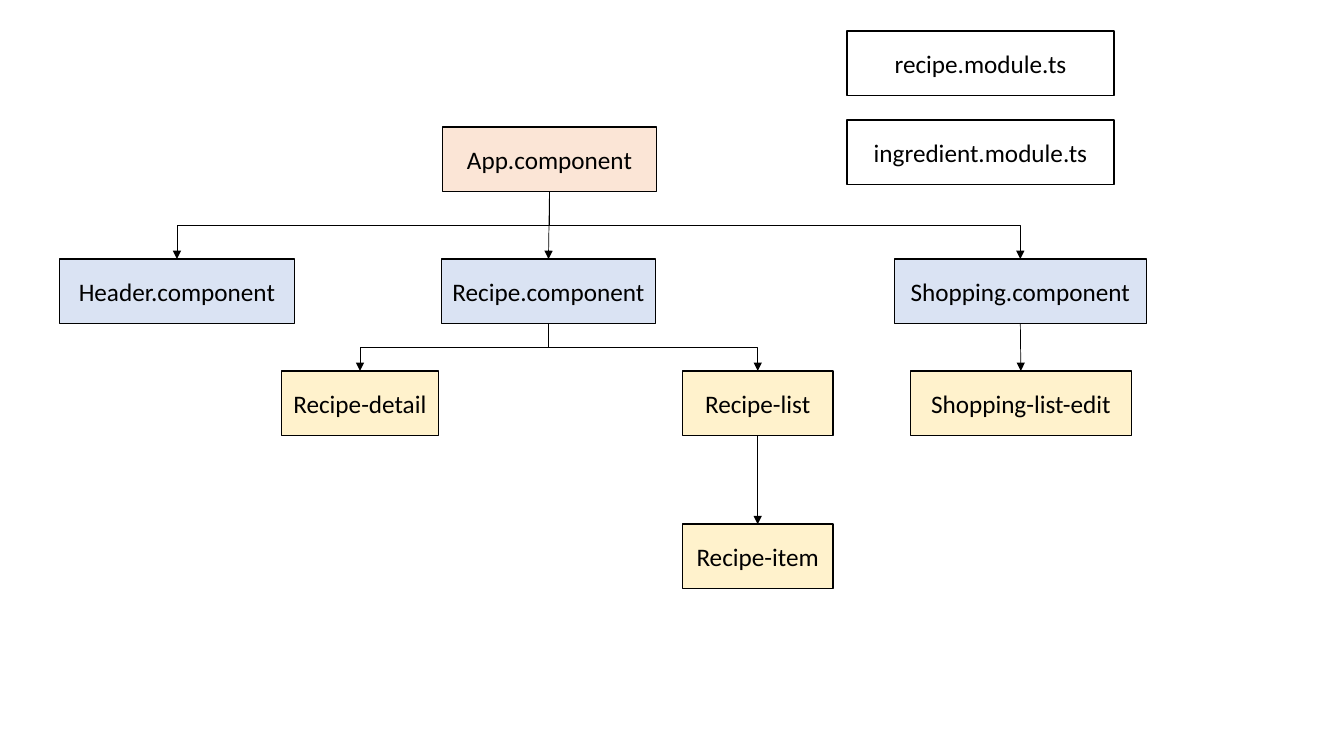
from dataclasses import dataclass

from lxml import etree
from pptx import Presentation
from pptx import util as u
from pptx.dml.color import RGBColor
from pptx.enum import shapes, text
from pptx.oxml import ns


@dataclass(frozen=True)
class Theme:
    font: str = "Calibri"
    text_size: float = 18
    ink: str = "000000"
    root: str = "FBE5D6"
    component: str = "DAE3F3"
    child: str = "FFF2CC"
    box_line: float = 1
    arrow_line: float = 0.5
    box_height: float = 0.64


TOP_SITE, BOTTOM_SITE = 0, 2


def set_attributes(target, values):
    for name, value in values.items():
        setattr(target, name, value)


class Diagram:
    def __init__(self, slide, theme):
        self.slide = slide
        self.theme = theme
        self.ink = RGBColor.from_string(theme.ink)

    def box(self, label, left, top, width, fill=None):
        shape = self.slide.shapes.add_shape(
            shapes.MSO_SHAPE.RECTANGLE, u.Inches(left), u.Inches(top),
            u.Inches(width), u.Inches(self.theme.box_height))
        shape.shadow.inherit = False
        if fill:
            shape.fill.solid()
            shape.fill.fore_color.rgb = RGBColor.from_string(fill)
        else:
            shape.fill.background()
        shape.line.color.rgb = self.ink
        shape.line.width = u.Pt(self.theme.box_line)

        frame = shape.text_frame
        set_attributes(frame, {"text": label, "word_wrap": False,
                               "vertical_anchor": text.MSO_ANCHOR.MIDDLE})
        paragraph = frame.paragraphs[0]
        paragraph.alignment = text.PP_ALIGN.CENTER
        set_attributes(paragraph.font, {"name": self.theme.font,
                                        "size": u.Pt(self.theme.text_size)})
        paragraph.font.color.rgb = self.ink
        return shape

    def arrow(self, parent, child):
        """Join parent's bottom to child's top, with an elbow if they are not aligned."""
        start_x = parent.left + parent.width // 2
        end_x = child.left + child.width // 2
        start_y, end_y = parent.top + parent.height, child.top
        bent = abs(end_x - start_x) > u.Inches(0.1)
        kind = shapes.MSO_CONNECTOR.ELBOW if bent else shapes.MSO_CONNECTOR.STRAIGHT
        connector = self.slide.shapes.add_connector(kind, start_x, start_y, end_x, end_y)
        connector.begin_connect(parent, BOTTOM_SITE)
        connector.end_connect(child, TOP_SITE)
        if bent:
            self.turn_downward(connector, end_x > start_x)

        connector.line.color.rgb = self.ink
        connector.line.width = u.Pt(self.theme.arrow_line)
        properties = connector.element.spPr
        etree.SubElement(properties.find(ns.qn("a:ln")), ns.qn("a:tailEnd"), type="triangle")
        etree.SubElement(properties, ns.qn("a:effectLst"))

    def turn_downward(self, connector, to_right):
        """Rotate an elbow by a quarter turn so that it leaves and arrives vertically."""
        span, drop = connector.width, connector.height
        set_attributes(connector, {
            "left": connector.left + (span - drop) // 2,
            "top": connector.top + (drop - span) // 2,
            "width": drop,
            "height": span,
        })
        transform = connector.element.spPr.find(ns.qn("a:xfrm"))
        transform.set("rot", str((270 if to_right else 90) * 60000))
        transform.set("flipH", "1" if to_right else "0")


def main():
    presentation = Presentation()
    set_attributes(presentation, {"slide_width": u.Inches(13.33),
                                  "slide_height": u.Inches(7.5)})
    slide = presentation.slides.add_slide(presentation.slide_layouts[6])
    theme = Theme()
    diagram = Diagram(slide, theme)

    component_top, child_top, item_top = 2.57, 3.68, 5.2
    app = diagram.box("App.component", 4.39, 1.26, 2.12, theme.root)
    header, recipe, shopping = [
        diagram.box(label, left, component_top, width, theme.component)
        for label, left, width in (
            ("Header.component", 0.59, 2.33),
            ("Recipe.component", 4.38, 2.12),
            ("Shopping.component", 8.87, 2.5),
        )
    ]
    recipe_detail, recipe_list, recipe_item, shopping_edit = [
        diagram.box(label, left, top, width, theme.child)
        for label, left, top, width in (
            ("Recipe-detail", 2.79, child_top, 1.56),
            ("Recipe-list", 6.77, child_top, 1.49),
            ("Recipe-item", 6.77, item_top, 1.49),
            ("Shopping-list-edit", 9.03, child_top, 2.19),
        )
    ]
    for label, top in (("recipe.module.ts", 0.31), ("ingredient.module.ts", 1.19)):
        diagram.box(label, 8.4, top, 2.65)

    for parent, children in (
        (app, (header, recipe, shopping)),
        (recipe, (recipe_detail, recipe_list)),
        (recipe_list, (recipe_item,)),
        (shopping, (shopping_edit,)),
    ):
        for child in children:
            diagram.arrow(parent, child)

    presentation.save("out.pptx")


if __name__ == "__main__":
    main()
